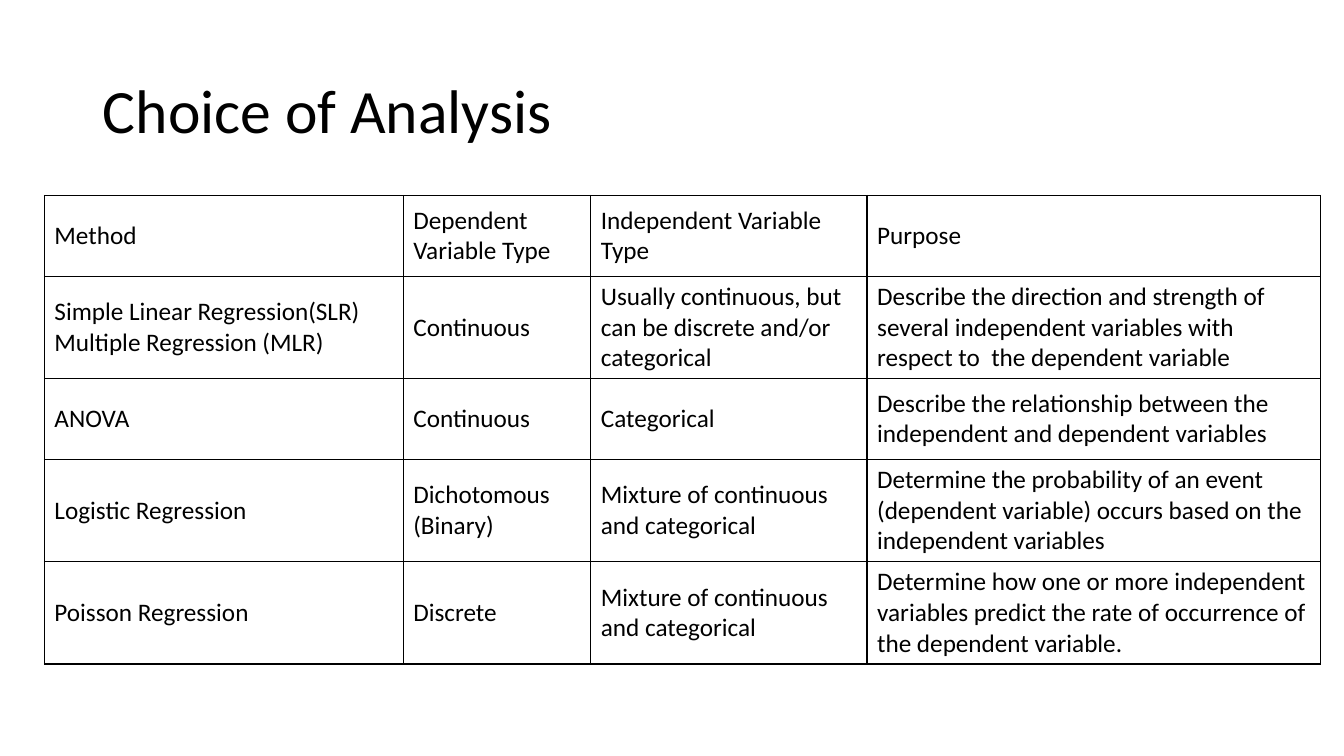
from pptx import Presentation
from pptx.dml.color import RGBColor
from pptx.enum.text import MSO_ANCHOR, PP_ALIGN
from pptx.oxml import parse_xml
from pptx.oxml.ns import nsdecls
from pptx.util import Inches, Pt

BLACK = RGBColor(0, 0, 0)
WHITE = RGBColor(255, 255, 255)
FONT_NAME = "Calibri"
COLUMN_WIDTHS = [3.56, 1.86, 2.74, 4.5]
ROW_HEIGHT = 0.8
TABLE_HEIGHT = 4.6
BORDER_WIDTH = Pt(1)
METHOD_ROWS = [
    ["Method", "Dependent Variable Type", "Independent Variable Type", "Purpose"],
    ["Simple Linear Regression(SLR)\nMultiple Regression (MLR)", "Continuous",
     "Usually continuous, but can be discrete and/or categorical",
     "Describe the direction and strength of several independent variables "
     "with respect to  the dependent variable"],
    ["ANOVA", "Continuous", "Categorical",
     "Describe the relationship between the independent and dependent variables"],
    ["Logistic Regression", "Dichotomous (Binary)",
     "Mixture of continuous and categorical ",
     "Determine the probability of an event (dependent variable) occurs "
     "based on the independent variables"],
    ["Poisson Regression", "Discrete ", "Mixture of continuous and categorical ",
     "Determine how one or more independent variables predict the rate of "
     "occurrence of the dependent variable."],
]


def format_text(text_frame, size):
    """Left-align the text and give its runs the font, size and colour."""
    for paragraph in text_frame.paragraphs:
        paragraph.alignment = PP_ALIGN.LEFT
        for run in paragraph.runs:
            run.font.name = FONT_NAME
            run.font.size = Pt(size)
            run.font.bold = False
            run.font.color.rgb = BLACK


def add_title(slide, text):
    """Place and fill the title placeholder."""
    title = slide.shapes.title
    title.left, title.top = Inches(0.92), Inches(0.4)
    title.width, title.height = Inches(11.5), Inches(1.45)
    title.text_frame.text = text
    title.text_frame.vertical_anchor = MSO_ANCHOR.MIDDLE
    title.text_frame.paragraphs[0].line_spacing = 0.9
    format_text(title.text_frame, 44)


def set_borders(cell):
    """Draw a thin black line on all four sides of a cell."""
    properties = cell._tc.get_or_add_tcPr()
    for position, side in enumerate(["lnL", "lnR", "lnT", "lnB"]):
        line = parse_xml(
            f'<a:{side} {nsdecls("a")} w="{BORDER_WIDTH}"><a:solidFill>'
            f'<a:srgbClr val="{BLACK}"/></a:solidFill></a:{side}>')
        properties.insert(position, line)


def fill_cell(cell, text):
    """Write and format one table cell."""
    cell.text_frame.text = text
    cell.vertical_anchor = MSO_ANCHOR.MIDDLE
    cell.fill.solid()
    cell.fill.fore_color.rgb = WHITE
    format_text(cell.text_frame, 18)
    set_borders(cell)


def add_method_table(slide):
    """Add the table that compares the methods of analysis."""
    frame = slide.shapes.add_table(
        len(METHOD_ROWS), len(COLUMN_WIDTHS), Inches(0.44), Inches(1.94),
        Inches(sum(COLUMN_WIDTHS)), Inches(TABLE_HEIGHT))
    table = frame.table
    for column, width in zip(table.columns, COLUMN_WIDTHS):
        column.width = Inches(width)
    for row, texts in zip(table.rows, METHOD_ROWS):
        row.height = Inches(ROW_HEIGHT)
        for cell, text in zip(row.cells, texts):
            fill_cell(cell, text)
    frame.height = Inches(TABLE_HEIGHT)


def main():
    """Build and save the slide."""
    presentation = Presentation()
    presentation.slide_width = Inches(13.33)
    presentation.slide_height = Inches(7.5)
    slide = presentation.slides.add_slide(presentation.slide_layouts[5])
    add_title(slide, "Choice of Analysis")
    add_method_table(slide)
    presentation.save("out.pptx")


main()
